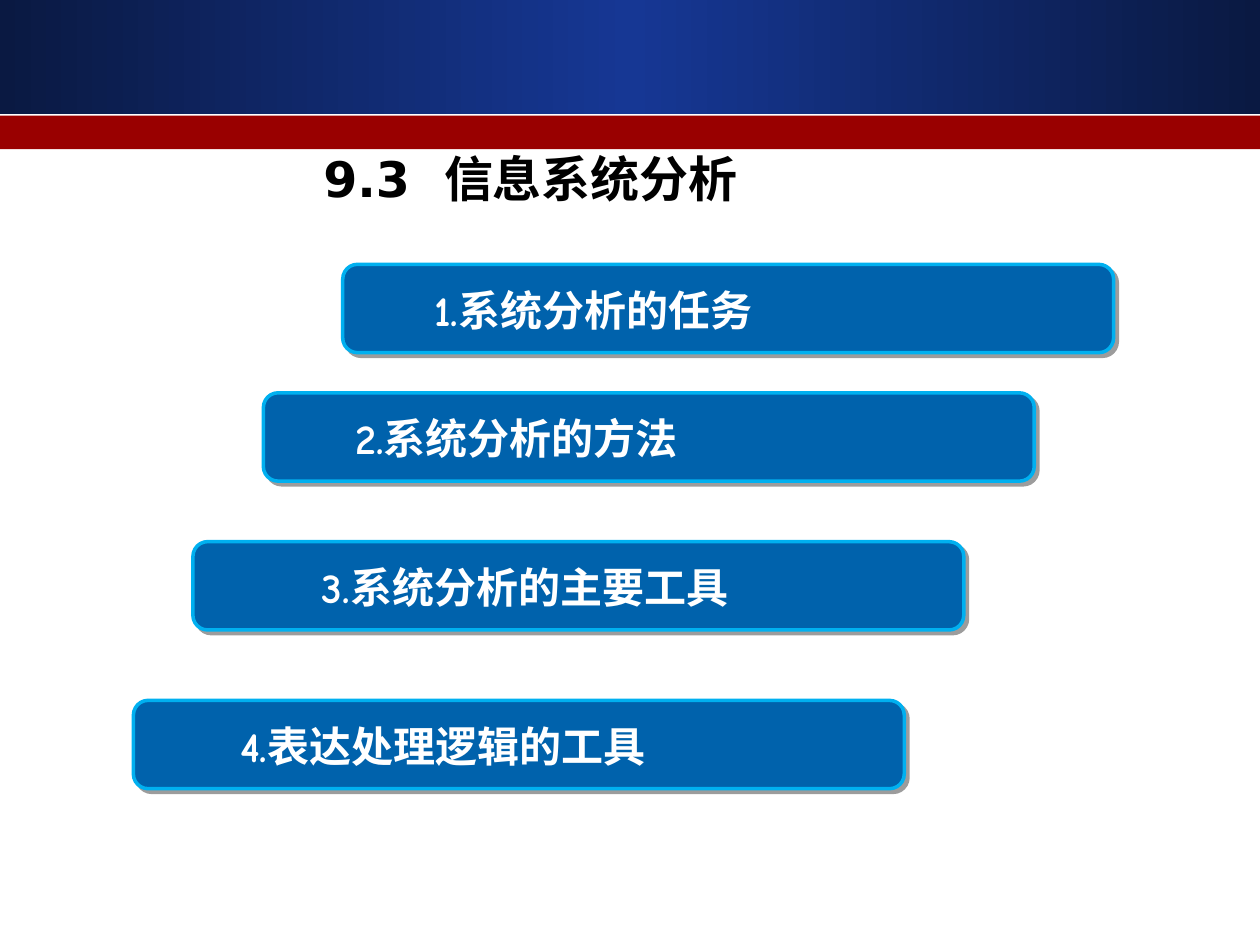
from dataclasses import dataclass

from lxml.etree import SubElement
from pptx import Presentation
from pptx.dml.color import RGBColor
from pptx.enum.shapes import MSO_SHAPE as Shape
from pptx.enum.text import MSO_ANCHOR as Anchor, PP_ALIGN as Align
from pptx.oxml.ns import qn
from pptx.util import Cm, Pt


@dataclass(frozen=True)
class Theme:
    band_edge: str = "0A1942"
    band_middle: str = "163794"
    stripe: str = "990000"
    bar: str = "0062AC"
    bar_edge: str = "00B0F0"
    shadow: str = "000000"
    title: str = "000000"
    label: str = "FFFFFF"
    title_font: str = "DejaVu Sans"
    label_font: str = "Comic Neue"
    title_size: int = 28
    label_size: int = 24


def rgb(code):
    return RGBColor.from_string(code)


class SlideBuilder:
    def __init__(self, slide, theme):
        self.slide = slide
        self.theme = theme

    def band(self, top, height):
        band = self.slide.shapes.add_shape(
            Shape.RECTANGLE, 0, Cm(top), Cm(25.4), Cm(height))
        band.shadow.inherit = False
        band.line.fill.background()
        return band

    def gradient_band(self, top, height):
        """Add a band that is bright in the middle and dark at both ends."""
        fill = self.band(top, height).fill
        fill.gradient()
        fill.gradient_angle = 0
        stops = fill._fill._gradFill.find(qn("a:gsLst"))
        stops.clear()
        edge, middle = self.theme.band_edge, self.theme.band_middle
        for position, color in ((0, edge), (50, middle), (100, edge)):
            stop = SubElement(stops, qn("a:gs"), pos=str(position * 1000))
            SubElement(stop, qn("a:srgbClr"), val=color)

    def solid_band(self, top, height):
        fill = self.band(top, height).fill
        fill.solid()
        fill.fore_color.rgb = rgb(self.theme.stripe)

    def cast_shadow(self, shape):
        shape.shadow.inherit = False
        effects = shape._element.spPr.find(qn("a:effectLst"))
        shadow = SubElement(effects, qn("a:outerShdw"), blurRad="0",
                            dist=str(Pt(3)), dir=str(45 * 60000),
                            algn="ctr", rotWithShape="0")
        color = SubElement(shadow, qn("a:srgbClr"), val=self.theme.shadow)
        SubElement(color, qn("a:alpha"), val="39000")

    def text(self, parent, words, box, font, size, color, anchor, align, indent=0):
        holder = parent.add_textbox(*(Cm(length) for length in box))
        frame = holder.text_frame
        frame.word_wrap = True
        frame.vertical_anchor = anchor
        frame.margin_left = Cm(0.25 + indent)
        paragraph = frame.paragraphs[0]
        paragraph.text = words
        paragraph.alignment = align
        paragraph.font.name = font
        paragraph.font.size = Pt(size)
        paragraph.font.bold = True
        paragraph.font.color.rgb = rgb(color)

    def title(self, words, box):
        theme = self.theme
        self.text(self.slide.shapes, words, box, theme.title_font,
                  theme.title_size, theme.title, Anchor.MIDDLE, Align.CENTER)

    def topic(self, words, left, top, indent):
        """Add a grouped bar with its label."""
        theme = self.theme
        group = self.slide.shapes.add_group_shape().shapes
        bar = group.add_shape(
            Shape.ROUNDED_RECTANGLE, Cm(left), Cm(top), Cm(15.54), Cm(1.78))
        bar.fill.solid()
        bar.fill.fore_color.rgb = rgb(theme.bar)
        bar.line.color.rgb = rgb(theme.bar_edge)
        bar.line.width = Pt(2)
        self.cast_shadow(bar)
        self.text(group, words, (left + 1.6, top + 0.6, 12.6, 0.94),
                  theme.label_font, theme.label_size, theme.label,
                  Anchor.BOTTOM, Align.LEFT, indent)


TOPICS = (
    ("1.系统分析的任务", 6.91, 5.33, 0),
    ("2.系统分析的方法", 5.31, 7.92, 0),
    ("3.系统分析的主要工具", 3.89, 10.92, 0.75),
    ("4.表达处理逻辑的工具", 2.69, 14.12, 0.3),
)


def main():
    deck = Presentation()
    deck.slide_width, deck.slide_height = Cm(25.4), Cm(19.05)
    builder = SlideBuilder(deck.slides.add_slide(deck.slide_layouts[6]), Theme())
    builder.gradient_band(0, 2.31)
    builder.solid_band(2.33, 0.68)
    builder.title("9.3  信息系统分析", (3.89, 2.92, 13.61, 1.35))
    for topic in TOPICS:
        builder.topic(*topic)
    deck.save("out.pptx")


if __name__ == "__main__":
    main()
